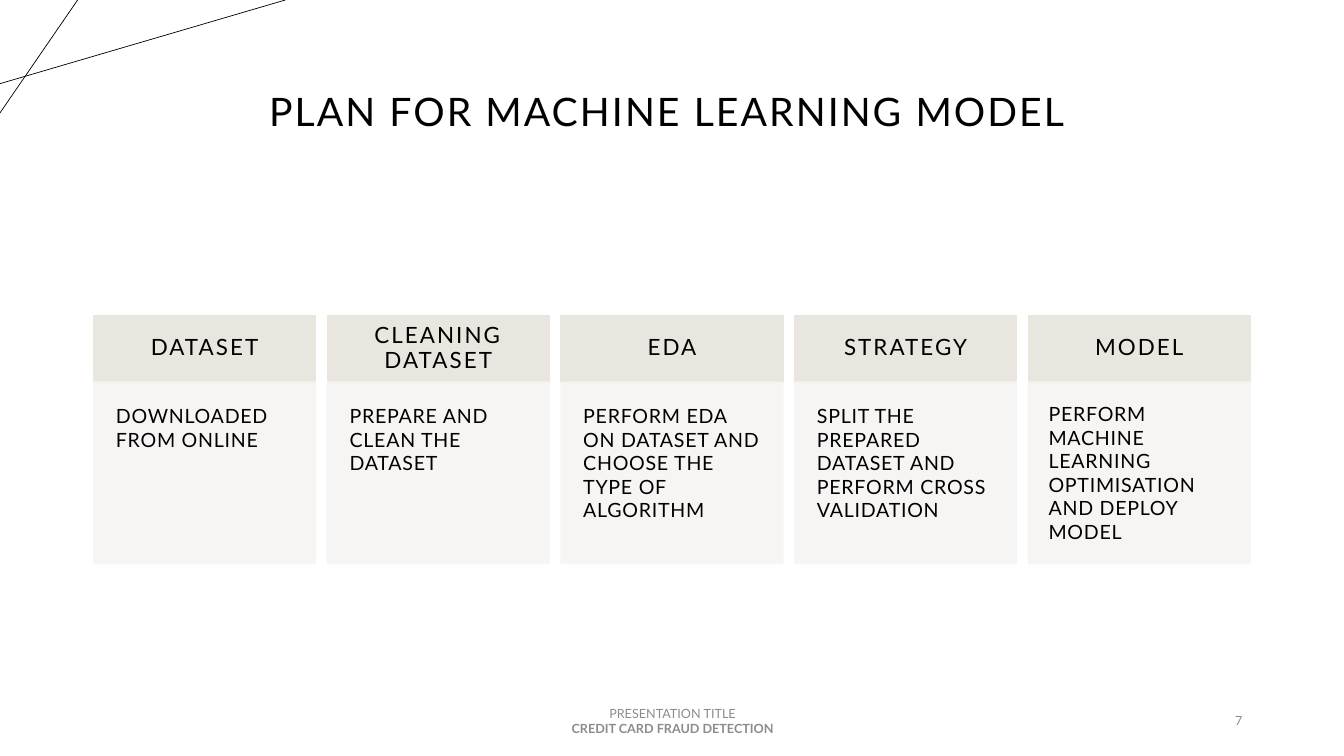
from pptx import Presentation
from pptx.dml.color import RGBColor
from pptx.enum.shapes import MSO_CONNECTOR, MSO_SHAPE
from pptx.enum.text import MSO_ANCHOR, PP_ALIGN
from pptx.oxml.ns import qn
from pptx.util import Inches, Pt
from lxml import etree

LEFT, MID, RIGHT = PP_ALIGN.LEFT, PP_ALIGN.CENTER, PP_ALIGN.RIGHT
TOP, CENTER = MSO_ANCHOR.TOP, MSO_ANCHOR.MIDDLE
RECT, LINE = MSO_SHAPE.RECTANGLE, MSO_CONNECTOR.STRAIGHT

THEME = {
    "font": "Lato",
    "ink": RGBColor.from_string("000000"),
    "gray": RGBColor.from_string("8C8C8C"),
    "head": RGBColor.from_string("E9E6DF"),
    "card": RGBColor.from_string("F7F5F3"),
    "title": {"size": 28, "gap": 1.5, "lead": 0.9},
    "label": {"size": 16, "gap": 1.5, "lead": 0.9},
    "body": {"size": 14, "gap": 0.5, "lead": 1},
    "foot": {"size": 9, "gap": 0, "lead": 1},
}

WIDE, HIGH = 13.33, 7.5
SIDE, STEP, COL = 0.93, 2.3175, 2.2
ROW, HEAD, CARD = 3.13, 0.66, 1.8

STEPS = [
    ("DATASET", "DOWNLOADED FROM ONLINE", 0.22),
    ("CLEANING DATASET", "PREPARE AND CLEAN THE DATASET", 0.22),
    ("EDA", "PERFORM EDA ON DATASET AND CHOOSE THE TYPE OF ALGORITHM", 0.22),
    ("STRATEGY", "SPLIT THE PREPARED DATASET AND PERFORM CROSS VALIDATION", 0.22),
    ("MODEL", "PERFORM MACHINE LEARNING OPTIMISATION AND DEPLOY MODEL", 0.2),
]


def write(shape, text, style, align, anchor=CENTER, pad=None, ink="ink"):
    """Fill a shape with styled text, one paragraph for each line."""
    look = THEME[style]
    frame = shape.text_frame
    frame.text = text
    frame.word_wrap = True
    frame.vertical_anchor = anchor
    if pad is not None:
        for edge in ("left", "top", "right", "bottom"):
            setattr(frame, f"margin_{edge}", Inches(pad))
    form = {"name": THEME["font"], "size": Pt(look["size"])}
    for para in frame.paragraphs:
        para.alignment = align
        para.line_spacing = look["lead"]
        for run in para.runs:
            for key, value in form.items():
                setattr(run.font, key, value)
            run.font.color.rgb = THEME[ink]
            run.font._element.set("spc", str(int(look["gap"] * 100)))


def block(x, y, w, h, tint, alpha=100):
    """Draw a flat box with fill and outline in one tint."""
    box = slide.shapes.add_shape(RECT, Inches(x), Inches(y), Inches(w), Inches(h))
    box.shadow.inherit = False
    box.fill.solid()
    box.fill.fore_color.rgb = THEME[tint]
    box.line.color.rgb = THEME[tint]
    box.line.width = Pt(1)
    if alpha < 100:
        for color in box._element.spPr.iter(qn("a:srgbClr")):
            etree.SubElement(color, qn("a:alpha")).set("val", str(alpha * 1000))
    return box


deck = Presentation()
deck.slide_width, deck.slide_height = Inches(WIDE), Inches(HIGH)
slide = deck.slides.add_slide(deck.slide_layouts[5])

# Corner lines
for ends in [(0, 0.83, 2.83, 0), (0.77, 0, 0, 1.12)]:
    line = slide.shapes.add_connector(LINE, *map(Inches, ends))
    line.line.color.rgb = THEME["ink"]
    line.line.width = Pt(0.5)
    etree.SubElement(line._element.spPr, qn("a:effectLst"))

# Title
title = slide.shapes.title
place = {"left": 0.92, "top": 0.4, "width": 11.5, "height": 1.45}
for key, value in place.items():
    setattr(title, key, Inches(value))
write(title, "PLAN FOR MACHINE LEARNING MODEL ", "title", MID)

# Steps
for i, (label, body, pad) in enumerate(STEPS):
    x = SIDE + i * STEP
    head = block(x, ROW, COL, HEAD, "head")
    write(head, label, "label", MID, pad=0.17)
    card = block(x, ROW + HEAD, COL, CARD, "card", 90)
    write(card, body, "body", LEFT, TOP, pad)

# Footer
for x, w, text, align in [
    (4.42, 4.5, "PRESENTATION TITLE\nCREDIT CARD FRAUD DETECTION", MID),
    (9.42, 3, "7", RIGHT),
]:
    foot = slide.shapes.add_textbox(Inches(x), Inches(6.95), Inches(w), Inches(0.4))
    write(foot, text, "foot", align, ink="gray")
    for para in foot.text_frame.paragraphs[1:]:
        para.font.bold = True
        para.runs[0].font.bold = True

deck.save("out.pptx")
